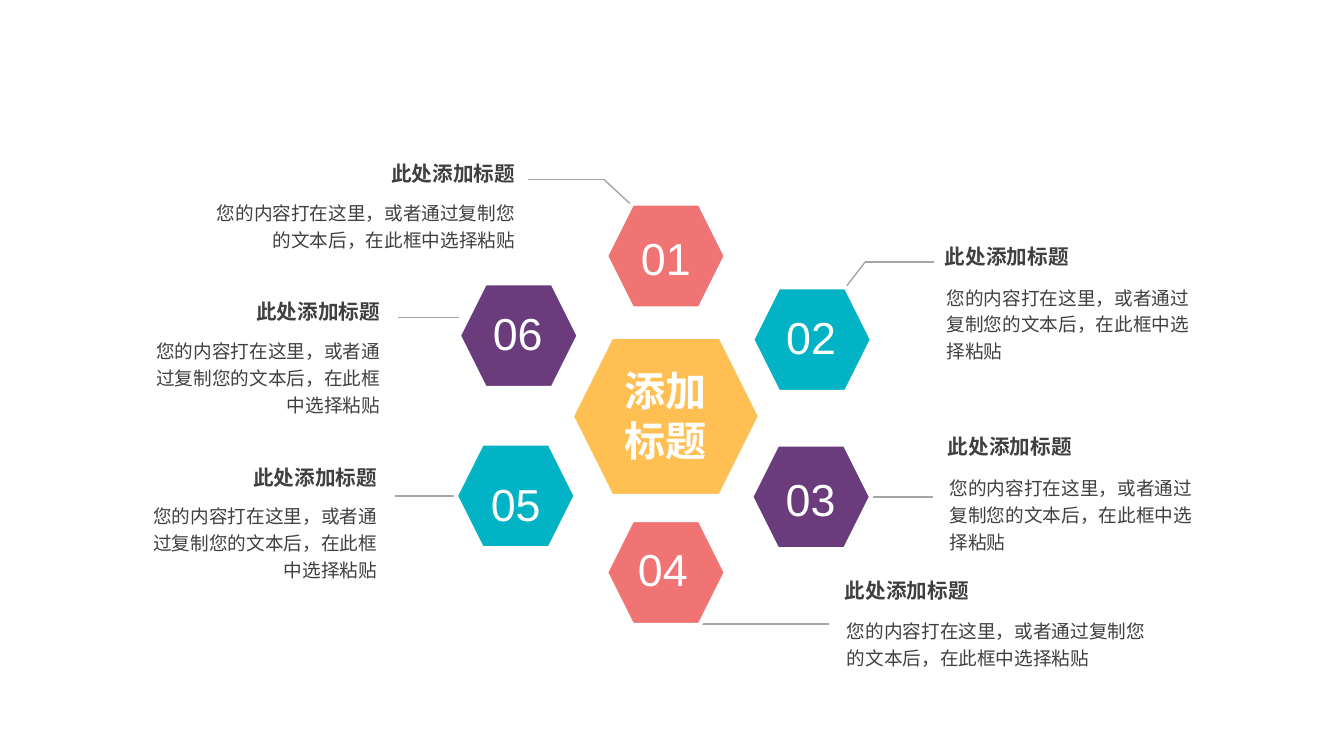
from lxml import etree
from pptx import Presentation
from pptx.dml.color import RGBColor
from pptx.enum.shapes import MSO_CONNECTOR, MSO_SHAPE
from pptx.enum.text import MSO_ANCHOR, MSO_AUTO_SIZE, PP_ALIGN
from pptx.oxml.ns import qn
from pptx.util import Pt

EMU_PER_PX = 9144
CORAL, TEAL, PURPLE, AMBER = "F17475", "01B3C5", "6A3C7C", "FFBF53"
WHITE, INK, GRAY = "FFFFFF", "404040", "A6A6A6"
LATIN_FONT, CHINESE_FONT = "Arial", "Noto Sans CJK SC"
HEADING = "此处添加标题"
BODY = "您的内容打在这里，或者通过复制您的文本后，在此框中选择粘贴"
BADGE_WIDTH, BADGE_HEIGHT = 119, 104
HEADING_WIDTH, HEADING_HEIGHT = 150, 34

BADGES = [
    ("01", CORAL, 601, 202, (16, 11, 87, 75), 1.2),
    ("02", TEAL, 746, 285, (18, 17, 81, 64), 1),
    ("03", PURPLE, 745, 441, (13, 11, 92, 75), 1.2),
    ("04", CORAL, 601, 516, (16, 17, 81, 64), 1),
    ("05", TEAL, 452, 440, (19, 17, 81, 75), 1.2),
    ("06", PURPLE, 455, 281, (18, 17, 81, 64), 1),
]
LEFT_NOTES = [(194, 191, 326, 63), (137, 328, 249, 90), (134, 492, 249, 90)]
RIGHT_NOTES = [(930, 275, 266, 90), (933, 464, 266, 90), (831, 606, 321, 63)]
LEADERS = [
    [(627, 204), (599, 178), (524, 178)],
    [(838, 286), (858, 260), (926, 260)],
    [(925, 493), (864, 493)],
    [(694, 619), (822, 619)],
    [(452, 492), (392, 492)],
    [(455, 315), (395, 315)],
]


def px(length):
    return length * EMU_PER_PX


def color(value):
    return RGBColor.from_string(value)


def add_text(slide, box, text, size, font_name, text_color, alignment,
             bold=False, spacing=1, side_inset=10):
    shape = slide.shapes.add_textbox(*map(px, box))
    frame = shape.text_frame
    frame.text = text
    frame.word_wrap = True
    frame.auto_size = MSO_AUTO_SIZE.SHAPE_TO_FIT_TEXT
    frame.vertical_anchor = MSO_ANCHOR.TOP
    frame.margin_left = frame.margin_right = px(side_inset)
    frame.margin_top = frame.margin_bottom = px(5)
    paragraph = frame.paragraphs[0]
    paragraph.alignment = alignment
    paragraph.line_spacing = spacing
    font = paragraph.runs[0].font
    font.name = font_name
    font.size = Pt(size)
    font.bold = bold
    font.color.rgb = color(text_color)
    east_asian = etree.SubElement(paragraph.runs[0]._r.get_or_add_rPr(), qn("a:ea"))
    east_asian.set("typeface", font_name)


def add_hexagon(slide, box, fill):
    shape = slide.shapes.add_shape(MSO_SHAPE.HEXAGON, *map(px, box))
    shape.shadow.inherit = False
    shape.fill.solid()
    shape.fill.fore_color.rgb = color(fill)
    shape.line.color.rgb = color(WHITE)
    shape.line.width = Pt(3)


def add_badge(slide, number, fill, left, top, label_box, spacing):
    add_hexagon(slide, (left, top, BADGE_WIDTH, BADGE_HEIGHT), fill)
    label_left, label_top, width, height = label_box
    add_text(slide, (left + label_left, top + label_top, width, height), number,
             32, LATIN_FONT, WHITE, PP_ALIGN.CENTER, spacing=spacing)


def add_center(slide, box):
    left, top, width, height = box
    add_hexagon(slide, box, AMBER)
    add_text(slide, (left + 36, top + 24, width - 72, height - 49), "添加标题",
             29.3, CHINESE_FONT, WHITE, PP_ALIGN.CENTER, bold=True)


def add_note(slide, box, on_left):
    left, top, width, height = box
    if on_left:
        heading_left, heading_top = left + width - HEADING_WIDTH, top - 36
        alignment = PP_ALIGN.RIGHT
    else:
        heading_left, heading_top = left - 2, top - 38
        alignment = PP_ALIGN.LEFT
    add_text(slide, (heading_left, heading_top, HEADING_WIDTH, HEADING_HEIGHT), HEADING,
             14.7, CHINESE_FONT, INK, alignment, bold=True, side_inset=9)
    add_text(slide, box, BODY, 13.3, CHINESE_FONT, INK, alignment,
             spacing=1.2, side_inset=9)


def add_leader(slide, points):
    for start, end in zip(points, points[1:]):
        connector = slide.shapes.add_connector(
            MSO_CONNECTOR.STRAIGHT, *map(px, start + end))
        connector.line.color.rgb = color(GRAY)
        connector.line.width = Pt(1)
        etree.SubElement(connector._element.spPr, qn("a:effectLst"))


def main():
    presentation = Presentation()
    presentation.slide_width = px(1333)
    presentation.slide_height = px(750)
    slide = presentation.slides.add_slide(presentation.slide_layouts[6])
    for points in LEADERS:
        add_leader(slide, points)
    for badge in BADGES:
        add_badge(slide, *badge)
    add_center(slide, (567, 334, 187, 158))
    for box in LEFT_NOTES:
        add_note(slide, box, True)
    for box in RIGHT_NOTES:
        add_note(slide, box, False)
    presentation.save("out.pptx")


if __name__ == "__main__":
    main()
